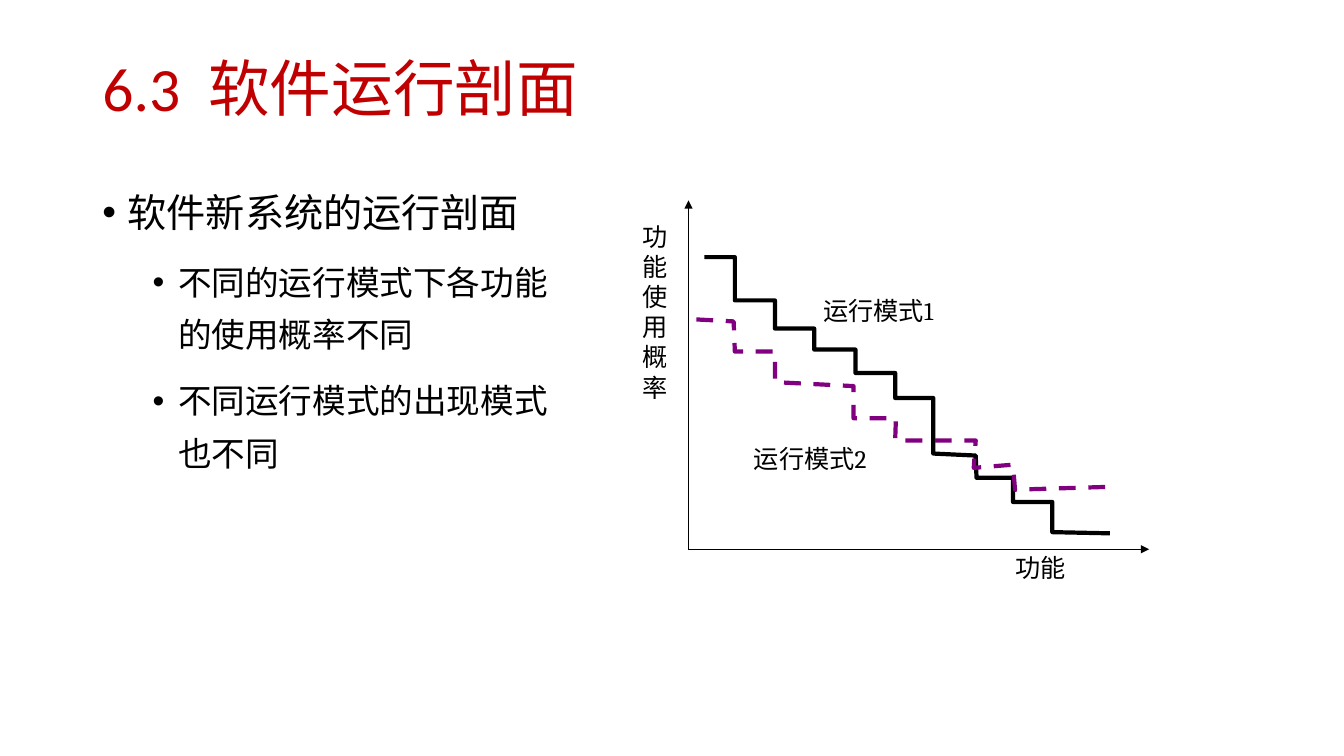
"""Build a slide on software operational profiles with a step diagram."""
from lxml.etree import SubElement
from pptx import Presentation
from pptx.dml.color import RGBColor
from pptx.enum.dml import MSO_LINE_DASH_STYLE as Dash
from pptx.enum.shapes import MSO_CONNECTOR_TYPE as Connector
from pptx.enum.text import MSO_VERTICAL_ANCHOR as Anchor
from pptx.oxml.ns import qn
from pptx.util import Cm, Pt

COLORS = {"title": "C00000", "ink": "000000", "mode2": "800080"}
AXIS_ORIGIN = (17.35, 13.84)
AXIS_ENDS = [(17.35, 5.05), (28.96, 13.84)]
MODE1_STEPS = [
    (17.75, 6.48), (18.52, 6.48), (18.52, 7.57), (19.53, 7.57), (19.53, 8.28),
    (20.52, 8.28), (20.52, 8.81), (21.56, 8.81), (21.56, 9.4), (22.56, 9.4),
    (22.56, 10.03), (23.52, 10.03), (23.52, 11.43), (24.59, 11.48),
    (24.61, 12.04), (25.53, 12.04), (25.53, 12.65), (26.52, 12.65),
    (26.52, 13.41), (27.97, 13.44),
]
MODE2_STEPS = [
    (17.55, 8.05), (18.49, 8.1), (18.52, 8.86), (19.53, 8.86), (19.53, 9.63),
    (21.51, 9.73), (21.51, 10.54), (22.58, 10.54), (22.56, 11.1),
    (24.59, 11.1), (24.54, 11.79), (25.53, 11.71), (25.58, 12.34),
    (27.91, 12.27),
]
BULLETS = [
    (0, "软件新系统的运行剖面"),
    (1, "不同的运行模式下各功能的使用概率不同"),
    (1, "不同运行模式的出现模式也不同"),
]
LABELS = [
    ("运行模式1", (20.5, 7.32, 3.43, 1.02), False),
    ("运行模式2", (18.75, 11.05, 3.43, 1.02), True),
    ("功能", (25.35, 13.79, 1.78, 1.02), False),
    ("功能使用概率", (15.95, 5.44, 1.19, 4.88), True),
]


class ProfileSlide:
    """Hold the style and draw each kind of element on the slide."""

    heading_font = "Calibri"
    label_font = "Cambria"

    def __init__(self, slide):
        self.slide = slide

    def text_frame(self, box, wrap=True):
        text_frame = self.slide.shapes.add_textbox(*map(Cm, box)).text_frame
        text_frame.word_wrap = wrap
        return text_frame

    def style(self, paragraph, name, size, color="ink"):
        for run in paragraph.runs:
            run.font.name = name
            run.font.size = Pt(size)
            run.font.color.rgb = RGBColor.from_string(COLORS[color])

    def title(self, number, text, box):
        text_frame = self.text_frame(box)
        text_frame.vertical_anchor = Anchor.MIDDLE
        paragraph = text_frame.paragraphs[0]
        paragraph.line_spacing = 0.9
        for part in (number, " ", text):
            paragraph.add_run().text = part
        self.style(paragraph, self.heading_font, 44, "title")
        paragraph.runs[1].font._element.set("spc", "1000")

    def bullets(self, items, box):
        text_frame = self.text_frame(box)
        text_frame.text = "\n".join(text for _, text in items)
        for index, (level, _) in enumerate(items):
            paragraph = text_frame.paragraphs[index]
            paragraph.level = level
            paragraph.line_spacing = 1.3
            paragraph.space_before = Pt(10 if index else 0)
            properties = paragraph._p.get_or_add_pPr()
            properties.set("marL", str(Cm(0.64 + 1.27 * level)))
            properties.set("indent", str(-Cm(0.64)))
            SubElement(properties, qn("a:buFont"), typeface="Arial")
            SubElement(properties, qn("a:buChar"), char="•")
            self.style(paragraph, self.heading_font, 28 - 4 * level)

    def label(self, text, box, wrap):
        text_frame = self.text_frame(box, wrap)
        text_frame.text = text
        self.style(text_frame.paragraphs[0], self.label_font, 18)

    def outline(self, shape, color, width):
        shape.line.color.rgb = RGBColor.from_string(COLORS[color])
        shape.line.width = Pt(width)

    def arrow(self, start, end):
        connector = self.slide.shapes.add_connector(
            Connector.STRAIGHT, *map(Cm, start + end))
        self.outline(connector, "ink", 0.75)
        SubElement(connector.line._get_or_add_ln(), qn("a:tailEnd"), type="triangle")
        SubElement(connector._element.spPr, qn("a:effectLst"))

    def steps(self, points, color, dash=None):
        first, *rest = [(Cm(x), Cm(y)) for x, y in points]
        builder = self.slide.shapes.build_freeform(*first)
        builder.add_line_segments(rest, close=False)
        shape = builder.convert_to_shape()
        shape.shadow.inherit = False
        shape.fill.background()
        self.outline(shape, color, 3)
        if dash:
            shape.line.dash_style = dash


def main():
    presentation = Presentation()
    presentation.slide_width = Cm(33.87)
    presentation.slide_height = Cm(19.05)
    slide = presentation.slides.add_slide(presentation.slide_layouts[6])
    profile = ProfileSlide(slide)
    profile.title("6.3", "软件运行剖面", (2.33, 1.01, 29.21, 2.6))
    profile.bullets(BULLETS, (2.33, 4.27, 12, 12.88))
    for end in AXIS_ENDS:
        profile.arrow(AXIS_ORIGIN, end)
    profile.steps(MODE1_STEPS, "ink")
    profile.steps(MODE2_STEPS, "mode2", Dash.DASH)
    for text, box, wrap in LABELS:
        profile.label(text, box, wrap)
    presentation.save("out.pptx")


if __name__ == "__main__":
    main()
